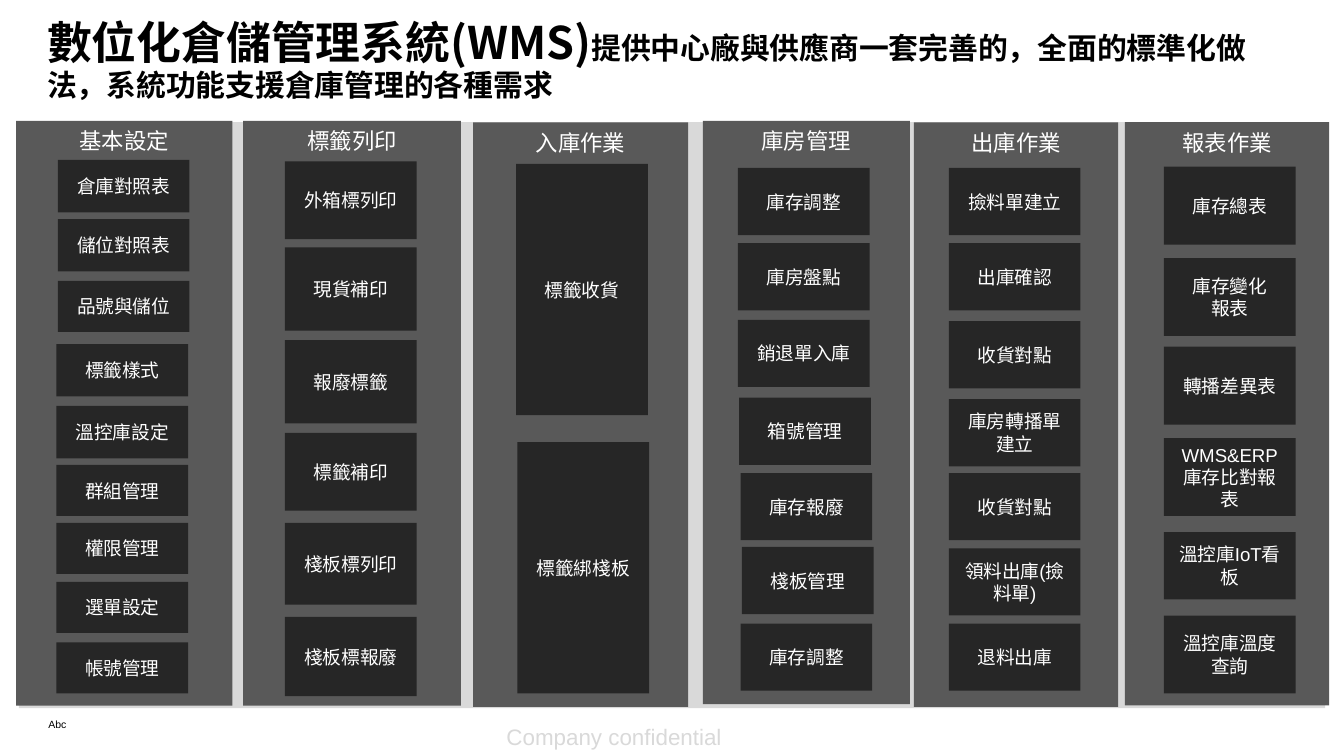
"""Build the slide that maps the functions of a warehouse management system."""
from lxml import etree
from pptx import Presentation
from pptx import util as u
from pptx.dml.color import RGBColor
from pptx.enum import shapes, text
from pptx.oxml import ns

BLACK = RGBColor(0x00, 0x00, 0x00)
WHITE = RGBColor(0xFF, 0xFF, 0xFF)
PALE = RGBColor(0xD9, 0xD9, 0xD9)
PANEL = RGBColor(0x59, 0x59, 0x59)
CARD = RGBColor(0x26, 0x26, 0x26)
CARD_WIDTH = 0.98

# heading, panel (left, top, width, height), cards (wording, left, top, height)
COLUMNS = [
    ("基本設定", (0.12, 0.9, 1.61, 4.35), [
        ("倉庫對照表", 0.43, 1.19, 0.39),
        ("儲位對照表", 0.43, 1.63, 0.39),
        ("品號與儲位", 0.43, 2.09, 0.38),
        ("標籤樣式", 0.42, 2.56, 0.39),
        ("溫控庫設定", 0.42, 3.02, 0.39),
        ("群組管理", 0.42, 3.46, 0.38),
        ("權限管理", 0.42, 3.89, 0.38),
        ("選單設定", 0.42, 4.33, 0.38),
        ("帳號管理", 0.42, 4.78, 0.38),
    ]),
    ("標籤列印", (1.81, 0.9, 1.62, 4.35), [
        ("外箱標列印", 2.12, 1.2, 0.58),
        ("現貨補印", 2.12, 1.84, 0.62),
        ("報廢標籤", 2.12, 2.53, 0.62),
        ("標籤補印", 2.12, 3.22, 0.58),
        ("棧板標列印", 2.12, 3.89, 0.61),
        ("棧板標報廢", 2.12, 4.59, 0.59),
    ]),
    ("入庫作業", (3.52, 0.91, 1.6, 4.35), [
        ("標籤收貨", 3.84, 1.22, 1.87),
        ("標籤綁棧板", 3.85, 3.29, 1.87),
    ]),
    ("庫房管理", (5.23, 0.9, 1.54, 4.34), [
        ("庫存調整", 5.49, 1.25, 0.5),
        ("庫房盤點", 5.49, 1.81, 0.5),
        ("銷退單入庫", 5.49, 2.38, 0.5),
        ("箱號管理", 5.5, 2.96, 0.5),
        ("庫存報廢", 5.51, 3.52, 0.5),
        ("棧板管理", 5.52, 4.07, 0.5),
        ("庫存調整", 5.51, 4.64, 0.5),
    ]),
    ("出庫作業", (6.8, 0.91, 1.52, 4.35), [
        ("撿料單建立", 7.06, 1.25, 0.5),
        ("出庫確認", 7.06, 1.81, 0.5),
        ("收貨對點", 7.06, 2.39, 0.5),
        ("庫房轉播單建立", 7.06, 2.97, 0.5),
        ("收貨對點", 7.06, 3.52, 0.5),
        ("領料出庫(撿料單)", 7.06, 4.08, 0.5),
        ("退料出庫", 7.06, 4.64, 0.5),
    ]),
    ("報表作業", (8.37, 0.91, 1.52, 4.34), [
        ("庫存總表", 8.66, 1.24, 0.58),
        ("庫存變化\n報表", 8.66, 1.92, 0.58),
        ("轉播差異表", 8.66, 2.58, 0.58),
        ("WMS&ERP庫存比對報表", 8.66, 3.26, 0.58),
        ("溫控庫IoT看板", 8.66, 3.96, 0.5),
        ("溫控庫溫度查詢", 8.66, 4.58, 0.58),
    ]),
]


class Board:
    """Hold the style and the current page."""

    latin = "Arial"
    chinese = "Noto Sans CJK SC"

    def __init__(self, page):
        self.page = page

    def style(self, span, size, color, font, bold=False):
        span.font.size = u.Pt(size)
        span.font.bold = bold
        span.font.color.rgb = color
        span.font.name = font
        if font == self.chinese:
            etree.SubElement(span.font._element, ns.qn("a:ea"), typeface=font)

    def fill_text(self, frame, wording, size, color, font, align, anchor, inset):
        frame.text = wording
        frame.word_wrap = True
        frame.vertical_anchor = anchor
        frame.margin_left = frame.margin_right = u.Inches(inset[0])
        frame.margin_top = frame.margin_bottom = u.Inches(inset[1])
        for para in frame.paragraphs:
            para.alignment = align
            for span in para.runs:
                self.style(span, size, color, font)

    def title(self, parts, place):
        box = self.page.shapes.title
        box.left, box.top, box.width, box.height = map(u.Inches, place)
        frame = box.text_frame
        frame.auto_size = text.MSO_AUTO_SIZE.NONE
        frame.vertical_anchor = text.MSO_ANCHOR.BOTTOM
        frame.margin_left = frame.margin_right = 0
        frame.margin_top = frame.margin_bottom = 0
        para = frame.paragraphs[0]
        para.alignment = text.PP_ALIGN.LEFT
        para.line_spacing = 0.95
        for wording, size in parts:
            span = para.add_run()
            span.text = wording
            self.style(span, size, BLACK, self.chinese, bold=True)

    def block(self, place, color):
        box = self.page.shapes.add_shape(
            shapes.MSO_SHAPE.RECTANGLE, *map(u.Inches, place))
        box.shadow.inherit = False
        box.fill.solid()
        box.fill.fore_color.rgb = color
        box.line.fill.background()
        return box

    def panel(self, heading, place):
        box = self.block(place, PANEL)
        self.fill_text(box.text_frame, heading, 12, WHITE, self.chinese,
                       text.PP_ALIGN.CENTER, text.MSO_ANCHOR.TOP, (0.1, 0.05))

    def card(self, wording, left, top, height):
        box = self.block((left, top, CARD_WIDTH, height), CARD)
        self.fill_text(box.text_frame, wording, 10, WHITE, self.latin,
                       text.PP_ALIGN.CENTER, text.MSO_ANCHOR.MIDDLE, (0.1, 0))

    def label(self, wording, place, size, color, anchor, inset):
        box = self.page.shapes.add_textbox(*map(u.Inches, place))
        self.fill_text(box.text_frame, wording, size, color, self.latin,
                       text.PP_ALIGN.LEFT, anchor, inset)


def main():
    deck = Presentation()
    deck.slide_width, deck.slide_height = u.Inches(10), u.Inches(10) * 9 // 16
    board = Board(deck.slides.add_slide(deck.slide_layouts[5]))
    board.title([
        ("數位化倉儲管理系統(WMS)", 24),
        ("提供中心廠與供應商一套完善的，全面的標準化做法，系統功能支援倉庫管理的各種需求", 16),
    ], (0.35, 0.1, 9.08, 0.67))
    board.label("Abc", (0.36, 5.33, 4.49, 0.11), 5.6, BLACK,
                text.MSO_ANCHOR.BOTTOM, (0, 0))
    board.block((0.14, 0.91, 9.72, 4.36), PALE)
    for heading, place, cards in COLUMNS:
        board.panel(heading, place)
        for card in cards:
            board.card(*card)
    board.label("Company confidential", (3.67, 5.33, 3.38, 0.2), 12, PALE,
                text.MSO_ANCHOR.TOP, (0.1, 0.05))
    deck.save("out.pptx")


if __name__ == "__main__":
    main()
